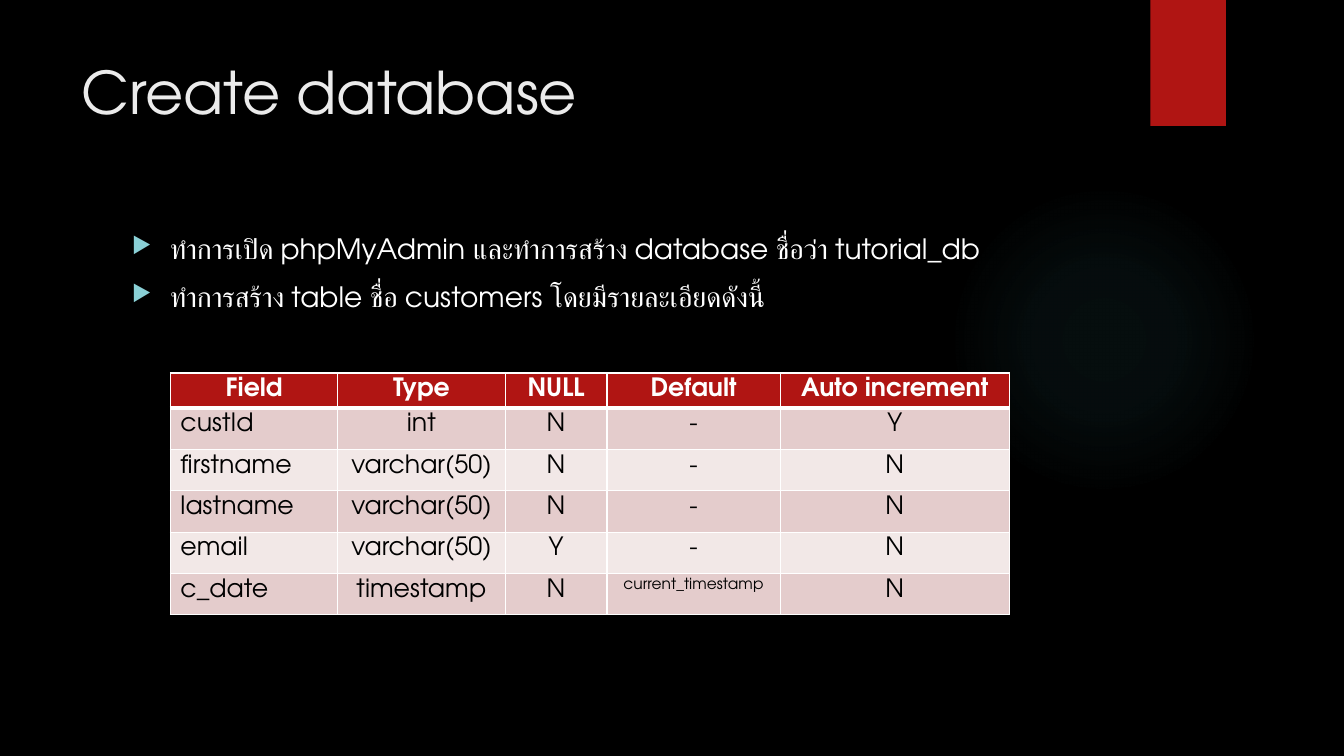
from lxml.etree import SubElement
from pptx import Presentation
from pptx.dml.color import RGBColor
from pptx.enum.shapes import MSO_SHAPE
from pptx.enum.text import MSO_ANCHOR, PP_ALIGN
from pptx.oxml.ns import qn
from pptx.util import Inches, Pt

BLACK = RGBColor(0x00, 0x00, 0x00)
WHITE = RGBColor(0xFF, 0xFF, 0xFF)
TITLE_GREY = RGBColor(0xEB, 0xEB, 0xEB)
RED = RGBColor(0xB0, 0x15, 0x13)
GLOW_TEAL = RGBColor(0x50, 0xB9, 0xC1)
BULLET_TEAL = RGBColor(0x8A, 0xD0, 0xD6)
BAND_DARK = RGBColor(0xE4, 0xCC, 0xCC)
BAND_LIGHT = RGBColor(0xF2, 0xE8, 0xE7)

STEPS = [
    "ทำการเปิด phpMyAdmin และทำการสร้าง database ชื่อว่า tutorial_db",
    "ทำการสร้าง table ชื่อ customers โดยมีรายละเอียดดังนี้",
]
FIELDS = [
    ("Field", "Type", "NULL", "Default", "Auto increment"),
    ("custId", "int", "N", "-", "Y"),
    ("firstname", "varchar(50)", "N", "-", "N"),
    ("lastname", "varchar(50)", "N", "-", "N"),
    ("email", "varchar(50)", "Y", "-", "N"),
    ("c_date", "timestamp", "N", "current_timestamp", "N"),
]
COLUMN_WIDTHS = [1.66, 1.66, 1.01, 1.72, 2.27]
ROW_HEIGHTS = [0.35] + [0.41] * 5


def add_xml(parent, tag, **attributes):
    return SubElement(parent, qn(tag), {k: str(v) for k, v in attributes.items()})


def add_color(parent, color, alpha=None):
    node = add_xml(parent, "a:srgbClr", val=color)
    if alpha is not None:
        add_xml(node, "a:alpha", val=alpha * 1000)


class SlideBuilder:
    font_name = "TeX Gyre Adventor"

    def __init__(self, slide):
        self.slide = slide
        slide.background.fill.solid()
        slide.background.fill.fore_color.rgb = BLACK

    def style(self, paragraph, size, color, bold=False):
        font = paragraph.font
        formats = {"name": self.font_name, "size": Pt(size), "bold": bold}
        for attribute, value in formats.items():
            setattr(font, attribute, value)
        font.color.rgb = color

    def shape(self, kind, left, top, width, height):
        shape = self.slide.shapes.add_shape(
            kind, Inches(left), Inches(top), Inches(width), Inches(height))
        shape.shadow.inherit = False
        shape.line.fill.background()
        return shape

    def glow(self, left, top, size, color, stops):
        glow = self.shape(MSO_SHAPE.OVAL, left, top, size, size)
        glow.fill.gradient()
        gradient = glow.element.spPr.find(qn("a:gradFill"))
        for child in list(gradient):
            gradient.remove(child)
        stop_list = add_xml(gradient, "a:gsLst")
        for position, alpha in stops:
            stop = add_xml(stop_list, "a:gs", pos=position * 1000)
            add_color(stop, color, alpha)
        circle = add_xml(gradient, "a:path", path="circle")
        add_xml(circle, "a:fillToRect", l=50000, t=50000, r=50000, b=50000)

    def ribbon(self, left, top, width, height, color):
        ribbon = self.shape(MSO_SHAPE.RECTANGLE, left, top, width, height)
        ribbon.fill.solid()
        ribbon.fill.fore_color.rgb = color
        effects = ribbon.element.spPr.find(qn("a:effectLst"))
        shadow = add_xml(effects, "a:outerShdw", blurRad=Pt(3), dist=Pt(2),
                         dir=90 * 60000, rotWithShape=0)
        add_color(shadow, BLACK, 45)

    def text(self, left, top, width, height, lines, size, color, bulleted=False):
        box = self.slide.shapes.add_textbox(
            Inches(left), Inches(top), Inches(width), Inches(height))
        frame = box.text_frame
        frame.word_wrap = True
        for index, line in enumerate(lines):
            paragraph = frame.add_paragraph() if index else frame.paragraphs[0]
            paragraph.text = line
            if index:
                paragraph.space_before = Pt(10)
            if bulleted:
                self.bullet(paragraph)
            self.style(paragraph, size, color)

    def bullet(self, paragraph):
        properties = paragraph._p.get_or_add_pPr()
        properties.set("marL", str(Inches(0.38)))
        properties.set("indent", str(-Inches(0.38)))
        add_color(add_xml(properties, "a:buClr"), BULLET_TEAL)
        add_xml(properties, "a:buSzPct", val=80000)
        add_xml(properties, "a:buChar", char="▶")

    def borders(self, cell, top_width, bottom_width):
        properties = cell._tc.get_or_add_tcPr()
        widths = {"a:lnL": 1, "a:lnR": 1, "a:lnT": top_width, "a:lnB": bottom_width}
        for index, (side, width) in enumerate(widths.items()):
            line = add_xml(properties, side, w=Pt(width))
            add_color(add_xml(line, "a:solidFill"), WHITE)
            properties.insert(index, line)

    def table(self, left, top, rows, widths, heights):
        table = self.slide.shapes.add_table(
            len(rows), len(widths), Inches(left), Inches(top),
            Inches(sum(widths)), Inches(sum(heights))).table
        for column, width in zip(table.columns, widths):
            column.width = Inches(width)
        for row, height in zip(table.rows, heights):
            row.height = Inches(height)
        for r, row in enumerate(rows):
            header = r == 0
            band = RED if header else BAND_DARK if r % 2 else BAND_LIGHT
            for c, value in enumerate(row):
                cell = table.cell(r, c)
                formats = {"text": value, "margin_top": Inches(0.05),
                           "margin_bottom": 0, "vertical_anchor": MSO_ANCHOR.TOP}
                for attribute, setting in formats.items():
                    setattr(cell, attribute, setting)
                cell.fill.solid()
                cell.fill.fore_color.rgb = band
                # A thick rule sets the header off from the first field
                self.borders(cell, 3 if r == 1 else 1, 3 if header else 1)
                paragraph = cell.text_frame.paragraphs[0]
                centred = header or c > 0
                paragraph.alignment = PP_ALIGN.CENTER if centred else PP_ALIGN.LEFT
                size = 11 if value == "current_timestamp" else 18
                self.style(paragraph, size, WHITE if header else BLACK, header)


def main():
    presentation = Presentation()
    presentation.slide_width = Inches(13.33)
    presentation.slide_height = Inches(7.5)
    builder = SlideBuilder(
        presentation.slides.add_slide(presentation.slide_layouts[6]))

    # Backdrop
    builder.glow(9.41, 1.83, 3.08, GLOW_TEAL, [(0, 7), (36, 6), (69, 0)])
    builder.ribbon(11.41, 0, 0.75, 1.25, RED)

    # Title and steps
    builder.text(0.71, 0.5, 10.29, 1.53, ["Create database"], 42, TITLE_GREY)
    builder.text(1.21, 2.25, 9.78, 4.52, STEPS, 20, WHITE, bulleted=True)

    # Fields of the customers table
    builder.table(1.69, 3.7, FIELDS, COLUMN_WIDTHS, ROW_HEIGHTS)

    presentation.save("out.pptx")


if __name__ == "__main__":
    main()
